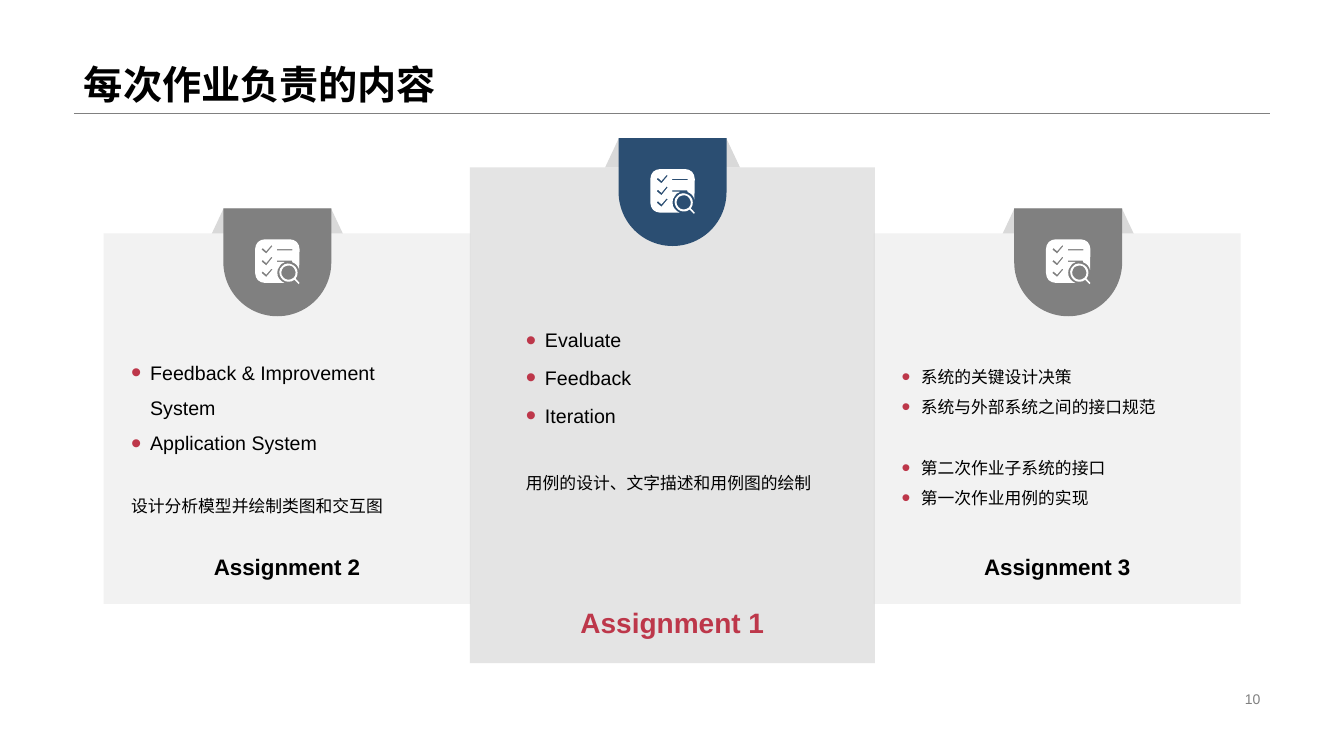
from math import cos, radians, sin

from lxml.etree import SubElement
from pptx import Presentation
from pptx.dml.color import RGBColor
from pptx.enum.shapes import MSO_CONNECTOR, MSO_SHAPE
from pptx.enum.text import MSO_ANCHOR, MSO_AUTO_SIZE, PP_ALIGN
from pptx.oxml.ns import qn
from pptx.util import Cm, Pt

BLACK = RGBColor(0x00, 0x00, 0x00)
WHITE = RGBColor(0xFF, 0xFF, 0xFF)
GRAY = RGBColor(0x80, 0x80, 0x80)
FOLD_GRAY = RGBColor(0xD9, 0xD9, 0xD9)
CARD_GRAY = RGBColor(0xF2, 0xF2, 0xF2)
NAVY = RGBColor(0x2B, 0x4E, 0x72)
RED = RGBColor(0xBD, 0x37, 0x4A)
FONT = "Arial"

deck = Presentation()
deck.slide_width, deck.slide_height = Cm(33.87), Cm(19.05)
page = deck.slides.add_slide(deck.slide_layouts.get_by_name("Comparison"))


def add_filled(kind, left, top, width, height, color):
    shape = page.shapes.add_shape(kind, Cm(left), Cm(top), Cm(width), Cm(height))
    shape.shadow.inherit = False
    shape.fill.solid()
    shape.fill.fore_color.rgb = color
    shape.line.fill.background()
    return shape


def arc(x, y, radius, start, end, steps):
    """Return points along a circle, with angles in degrees running clockwise."""
    angles = [radians(start + (end - start) * step / steps) for step in range(steps + 1)]
    return [(x + radius * cos(angle), y + radius * sin(angle)) for angle in angles]


# Title, rule and page number
title = page.shapes.title
title.left, title.top, title.width, title.height = Cm(1.86), Cm(0), Cm(30.15), Cm(2.84)
title.text_frame.text = "每次作业负责的内容"
title.text_frame.vertical_anchor = MSO_ANCHOR.BOTTOM
title.text_frame.auto_size = MSO_AUTO_SIZE.NONE
paragraph = title.text_frame.paragraphs[0]
paragraph.alignment = PP_ALIGN.LEFT
paragraph.line_spacing = 0.9
font = paragraph.runs[0].font
font.name, font.size, font.bold = FONT, Pt(28), True
font.color.rgb = BLACK

rule = page.shapes.add_connector(MSO_CONNECTOR.STRAIGHT, Cm(1.86), Cm(2.85), Cm(32), Cm(2.85))
rule.line.color.rgb = GRAY
rule.line.width = Pt(0.25)
SubElement(rule._element.spPr, qn("a:effectLst"))

number = page.shapes.add_textbox(Cm(23.93), Cm(17.32), Cm(8.08), Cm(0.58))
number.text_frame.text = "10"
number.text_frame.word_wrap = True
number.text_frame.vertical_anchor = MSO_ANCHOR.MIDDLE
paragraph = number.text_frame.paragraphs[0]
paragraph.alignment = PP_ALIGN.RIGHT
font = paragraph.runs[0].font
font.name, font.size = FONT, Pt(10)
font.color.rgb = GRAY

# Checklist icon with a magnifier, in hundredths of a centimetre
sheet = (arc(25, 25, 25, 180, 270, 4) + arc(87, 25, 25, 270, 360, 4)
         + arc(84, 84, 28, -15, -70, 4)
         + [(93, 54), (55, 54), (55, 57), (74, 57)]
         + arc(84, 84, 28, -112, -250, 8) + arc(25, 85, 25, 90, 180, 4))
magnifier = arc(84, 84, 23, 50, 400, 18) + [(112, 110), (110, 113)]
lens = arc(84, 84, 18, 0, 345, 15)
entry = [(55, 25), (94, 25), (94, 28), (55, 28)]
check = [(41, 15), (28, 30), (19, 22), (16, 26), (28, 36), (44, 17)]
checks = [[(x, y + 29.5 * row) for x, y in check] for row in range(3)]
icon_outlines = [sheet, magnifier, lens, entry, *checks]

# Cards: label, label size and colour, frame, card colour, opacity, badge centre and colour
cards = [
    ("Assignment 3", 16, BLACK, (22.02, 5.88, 9.25, 9.34), CARD_GRAY, 100, 26.92, GRAY),
    ("Assignment 2", 16, BLACK, (2.61, 5.88, 9.25, 9.34), CARD_GRAY, 100, 6.99, GRAY),
    ("Assignment 1", 20, RED, (11.84, 4.22, 10.21, 12.49), FOLD_GRAY, 70, 16.95, NAVY),
]
for label, size, label_color, frame, card_color, opacity, center, badge_color in cards:
    badge_top = frame[1] - (0.74 if badge_color == NAVY else 0.63)
    fold = add_filled(MSO_SHAPE.TRAPEZOID, center - 1.7, badge_top, 3.4, 0.74, FOLD_GRAY)
    fold.adjustments[0] = 0.47

    card = add_filled(MSO_SHAPE.RECTANGLE, *frame, card_color)
    if opacity < 100:
        color_node = card._element.spPr.find(qn("a:solidFill"))[0]
        SubElement(color_node, qn("a:alpha"), val=str(opacity * 1000))
    card.text_frame.text = label
    card.text_frame.vertical_anchor = MSO_ANCHOR.BOTTOM
    card.text_frame.margin_bottom = Cm(0.6)
    paragraph = card.text_frame.paragraphs[0]
    paragraph.alignment = PP_ALIGN.CENTER
    font = paragraph.runs[0].font
    font.name, font.size, font.bold = FONT, Pt(size), True
    font.color.rgb = label_color

    badge = add_filled(MSO_SHAPE.ROUND_2_SAME_RECTANGLE, center - 1.36, badge_top,
                       2.72, 2.72, badge_color)
    badge.adjustments[0], badge.adjustments[1] = 0, 0.5

    builder = page.shapes.build_freeform(*sheet[0], scale=Cm(0.01))
    for outline in icon_outlines:
        if outline is not sheet:
            builder.move_to(*outline[0])
        builder.add_line_segments(outline[1:], close=True)
    icon = builder.convert_to_shape(Cm(center - 0.56), Cm(badge_top + 0.78))
    icon.shadow.inherit = False
    icon.fill.solid()
    icon.fill.fore_color.rgb = WHITE
    icon.line.fill.background()

# Lists: placeholder index, frame, line spacing, gap in points,
# then the items as (text, size, bulleted, gap before)
lists = [
    (1, (13, 6.6, 7.75, 7.14), 1.6, 24, [
        ("Evaluate", 14, True, False),
        ("Feedback", 14, True, False),
        ("Iteration", 14, True, False),
        ("用例的设计、文字描述和用例图的绘制", 12, False, True)]),
    (2, (3.05, 8.23, 7.44, 5.33), 1.5, 22, [
        ("Feedback & Improvement System", 14, True, False),
        ("Application System", 14, True, False),
        ("设计分析模型并绘制类图和交互图", 12, False, True)]),
    (4, (22.47, 8.23, 8.38, 5.33), 1.5, 22, [
        ("系统的关键设计决策", 12, True, False),
        ("系统与外部系统之间的接口规范", 12, True, False),
        ("第二次作业子系统的接口", 12, True, True),
        ("第一次作业用例的实现", 12, True, False)]),
]
bodies = {body.placeholder_format.idx: body for body in page.placeholders}
for index, frame, spacing, gap, items in lists:
    body = bodies[index]
    body.left, body.top, body.width, body.height = [Cm(length) for length in frame]
    page.shapes.element.append(body.element)  # bring in front of the cards
    text_frame = body.text_frame
    text_frame.text = "\n".join(item[0] for item in items)
    text_frame.vertical_anchor = MSO_ANCHOR.MIDDLE
    text_frame.auto_size = MSO_AUTO_SIZE.NONE
    for paragraph, (text, size, bulleted, gap_before) in zip(text_frame.paragraphs, items):
        paragraph.alignment = PP_ALIGN.LEFT
        paragraph.line_spacing = spacing
        paragraph.space_before = Pt(gap if gap_before else 0)
        font = paragraph.runs[0].font
        font.name, font.size, font.bold = FONT, Pt(size), False
        font.color.rgb = BLACK
        properties = paragraph._p.get_or_add_pPr()
        indent = Cm(0.48) if bulleted else 0
        properties.set("marL", str(indent))
        properties.set("indent", str(-indent))
        if bulleted:
            bullet_color = SubElement(properties, qn("a:buClr"))
            SubElement(bullet_color, qn("a:srgbClr"), val=str(RED))
            SubElement(properties, qn("a:buSzPct"), val="150000")
            SubElement(properties, qn("a:buFont"), typeface=FONT)
            SubElement(properties, qn("a:buChar"), char="•")
        else:
            SubElement(properties, qn("a:buNone"))

for body in list(page.placeholders):
    if not body.text_frame.text:
        body.element.getparent().remove(body.element)

deck.save("out.pptx")
